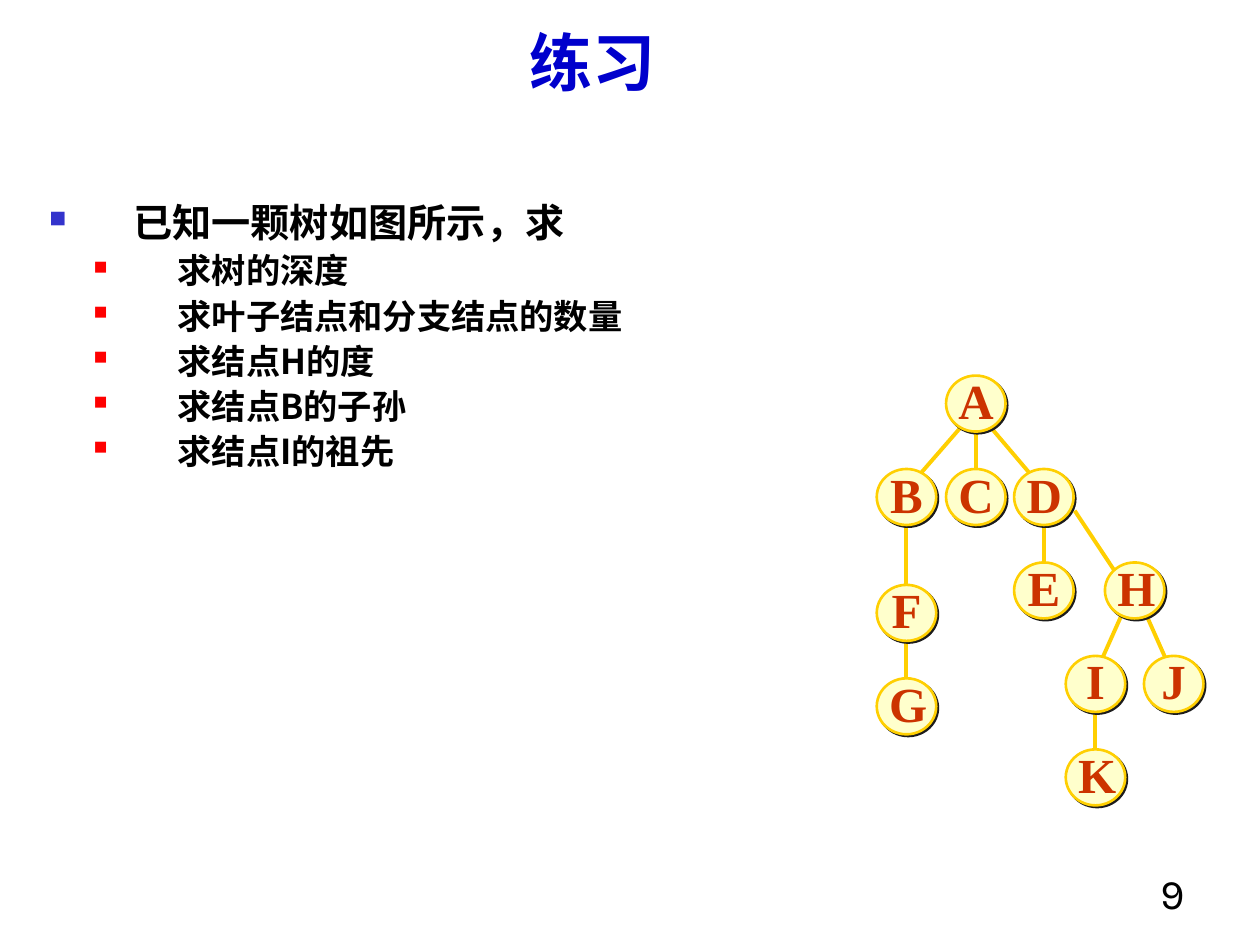
from lxml import etree
from pptx import Presentation
from pptx.dml.color import RGBColor
from pptx.enum import shapes, text
from pptx.oxml import ns
from pptx.util import Pt

COLORS = {
    "title": "0000CC", "ink": "000000", "bullet": "3333CC", "subbullet": "FF0000",
    "edge": "FFCF01", "node": "FFFFCC", "letter": "CC3300", "shadow": "1C1C1C",
}
CJK = "Noto Sans CJK SC"
ROW = 53.4
TOP = 230.6
NODES = {
    "A": (557.6, TOP), "B": (518, TOP + ROW), "C": (557.6, TOP + ROW),
    "D": (596.5, TOP + ROW), "E": (596.5, TOP + 2 * ROW), "H": (648.4, TOP + 2 * ROW),
    "F": (518, 350.2), "G": (518, 350.2 + ROW), "I": (626, TOP + 3 * ROW),
    "J": (670.7, TOP + 3 * ROW), "K": (626, TOP + 4 * ROW),
}
STRAIGHT = (0, 10.4), (0, -10.4)
EDGES = {
    "AB": ((-5.8, 10.4), (5.4, -10.4)), "AC": STRAIGHT, "AD": ((5.8, 10.4), (-5.4, -10.4)),
    "BF": ((0, 17.5), (0, -16)), "DE": STRAIGHT, "DH": ((17.6, 7.8), (-12, -12)),
    "FG": STRAIGHT, "HI": ((-6.2, 11.2), (-0.4, -5)), "HJ": ((5.4, 11.2), (-0.4, -5)),
    "IK": STRAIGHT,
}
TASKS = ["求树的深度", "求叶子结点和分支结点的数量", "求结点H的度", "求结点B的子孙", "求结点I的祖先"]


def child(parent, tag, **attributes):
    return etree.SubElement(parent, ns.qn(tag), attributes)


class Slide:
    """Draws styled text, tree nodes and tree edges on one page."""

    def __init__(self, page):
        self.page = page
        self.tree = page.shapes.add_group_shape().shapes

    def color(self, name):
        return RGBColor.from_string(COLORS[name])

    def style(self, para, size, color, font, bold=False):
        para.font.size = Pt(size)
        para.font.bold = bold
        para.font.color.rgb = self.color(color)
        para.font.name = font
        child(para._p.pPr.find(ns.qn("a:defRPr")), "a:ea", typeface=CJK)

    def frame(self, parent, left, top, width, height, anchor=text.MSO_ANCHOR.TOP):
        box = parent.add_textbox(Pt(left), Pt(top), Pt(width), Pt(height))
        box.text_frame.word_wrap = True
        box.text_frame.vertical_anchor = anchor
        return box.text_frame

    def line(self, frame, words, align, *look):
        para = frame.paragraphs[0]
        para.text = words
        para.alignment = align
        self.style(para, *look)

    def bullet(self, para, words, level, before, size, color, scale, margin):
        para.text = words
        para.level = level
        para.line_spacing = 0.8
        para.space_before = Pt(before)
        props = para._p.get_or_add_pPr()
        props.set("marL", str(Pt(margin)))
        props.set("indent", str(Pt(-48)))
        child(child(props, "a:buClr"), "a:srgbClr", val=COLORS[color])
        child(props, "a:buSzPct", val=str(scale * 1000))
        child(props, "a:buChar", char="■")
        self.style(para, size, "ink", CJK, True)

    def edge(self, start, end):
        line = self.tree.add_connector(
            shapes.MSO_CONNECTOR.STRAIGHT, *(Pt(value) for value in start + end))
        line.line.color.rgb = self.color("edge")
        line.line.width = Pt(2.25)
        child(line._element.spPr, "a:effectLst")

    def node(self, letter, x, y, width=34, height=32):
        oval = self.tree.add_shape(
            shapes.MSO_SHAPE.OVAL, Pt(x - width / 2), Pt(y - height / 2), Pt(width), Pt(height))
        oval.fill.solid()
        oval.fill.fore_color.rgb = self.color("node")
        oval.line.color.rgb = self.color("edge")
        oval.line.width = Pt(1.5)
        oval.shadow.inherit = False
        effects = oval._element.spPr.find(ns.qn("a:effectLst"))
        shadow = child(effects, "a:outerShdw", blurRad="0", dist=str(Pt(1.4)),
                       dir="2700000", algn="ctr", rotWithShape="0")
        child(shadow, "a:srgbClr", val=COLORS["shadow"])
        frame = self.frame(self.tree, x - 17, y - 22.5, 34, 41, text.MSO_ANCHOR.MIDDLE)
        frame.word_wrap = False
        frame.auto_size = text.MSO_AUTO_SIZE.SHAPE_TO_FIT_TEXT
        self.line(frame, letter, text.PP_ALIGN.CENTER, 28, "letter", "Times New Roman", True)


def main():
    deck = Presentation()
    deck.slide_width, deck.slide_height = Pt(720), Pt(540)
    slide = Slide(deck.slides.add_slide(deck.slide_layouts[6]))
    canvas = slide.page.shapes

    number = slide.frame(canvas, 516, 492, 168, 36)
    slide.line(number, "9", text.PP_ALIGN.RIGHT, 24, "ink", "Karla")
    title = slide.frame(canvas, 14.4, 9.4, 648, 51, text.MSO_ANCHOR.BOTTOM)
    slide.line(title, "练习", text.PP_ALIGN.CENTER, 36, "title", "Karla", True)

    body = slide.frame(canvas, 21, 115.2, 669, 187)
    slide.bullet(body.paragraphs[0], "已知一颗树如图所示，求", 0, 0, 22.4, "bullet", 60, 48)
    for task in TASKS:
        slide.bullet(body.add_paragraph(), task, 1, 7, 19.6, "subbullet", 55, 73.4)

    for (parent, offspring), offsets in EDGES.items():
        start, end = ((NODES[name][0] + dx, NODES[name][1] + dy)
                      for name, (dx, dy) in zip((parent, offspring), offsets))
        slide.edge(start, end)
    for letter, center in NODES.items():
        slide.node(letter, *center)
    deck.save("out.pptx")


if __name__ == "__main__":
    main()
